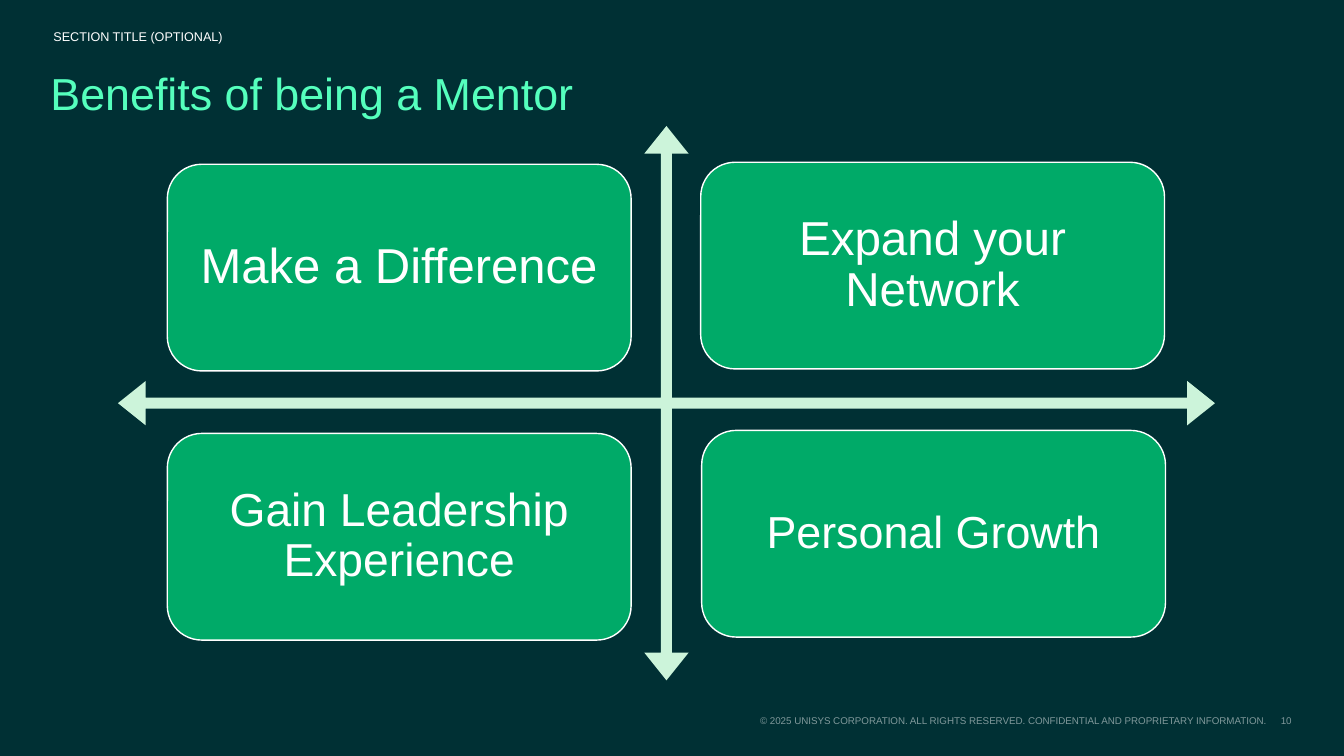
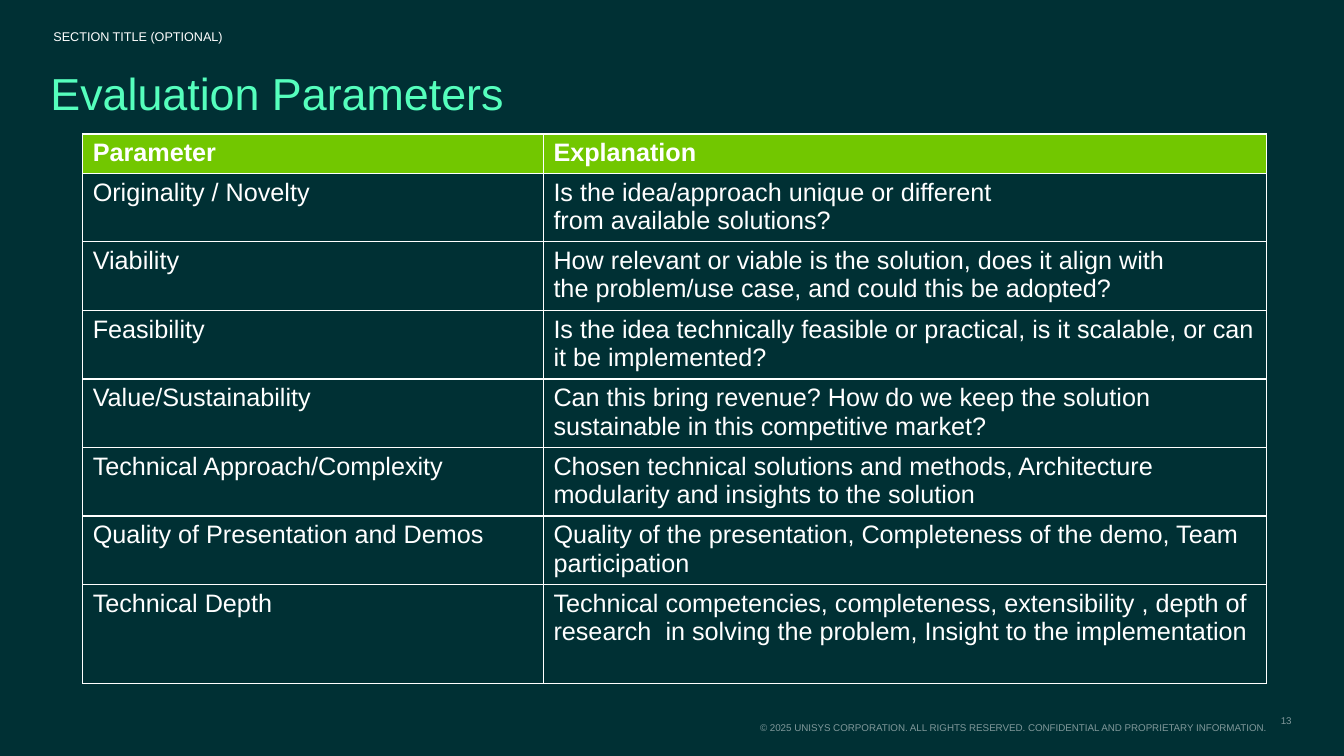
from dataclasses import dataclass

from lxml import etree
from pptx import Presentation
from pptx.dml.color import RGBColor
from pptx.enum.shapes import MSO_SHAPE
from pptx.enum.text import MSO_ANCHOR, PP_ALIGN
from pptx.oxml.ns import qn
from pptx.util import Inches, Pt

LEFT, CENTER, RIGHT = PP_ALIGN.LEFT, PP_ALIGN.CENTER, PP_ALIGN.RIGHT
TOP, MIDDLE, BOTTOM = MSO_ANCHOR.TOP, MSO_ANCHOR.MIDDLE, MSO_ANCHOR.BOTTOM
ROUND, ARROWS = MSO_SHAPE.ROUNDED_RECTANGLE, MSO_SHAPE.QUAD_ARROW

NIGHT, MINT, WHITE, GRAY = "003034", "55FFBD", "FFFFFF", "80989A"
GREEN, PALE, LIME = "00AA68", "CCF4DA", "72C700"
FONT = "Arial"
LEGAL = ("© 2025 UNISYS CORPORATION. ALL RIGHTS RESERVED. "
         "CONFIDENTIAL AND PROPRIETARY INFORMATION.")


@dataclass(frozen=True)
class Style:
    size: float
    color: str = WHITE
    bold: bool = False
    align: PP_ALIGN = LEFT
    anchor: MSO_ANCHOR = TOP
    space: float | None = None


@dataclass(frozen=True)
class Card:
    text: str
    left: float
    top: float
    size: float
    inset: float


LABEL = Style(9)
TITLE = Style(32, MINT, space=0.9)
FOOT = Style(7, GRAY, align=RIGHT, anchor=BOTTOM)
HEAD, BODY = Style(18, bold=True), Style(18)

CARD_W, CARD_H = 4.6, 2.05
CARDS = [
    Card("Make a Difference", 1.66, 1.63, 35, 0.15),
    Card("Expand your Network", 6.95, 1.61, 34, 0.14),
    Card("Gain Leadership Experience", 1.66, 4.3, 33, 0.14),
    Card("Personal Growth", 6.96, 4.27, 32, 0.13),
]

COLS = [4.57, 7.17]
HEIGHTS = [0.39] + [0.68] * 6 + [0.98]
ROWS = [
    ("Parameter", "Explanation"),
    ("Originality / Novelty",
     "Is the idea/approach unique or different\n"
     "from available solutions?"),
    ("Viability",
     "How relevant or viable is the solution, does it align with\n"
     "the problem/use case, and could this be adopted?"),
    ("Feasibility",
     "Is the idea technically feasible or practical, is it scalable, "
     "or can it be implemented?"),
    ("Value/Sustainability",
     "Can this bring revenue? How do we keep the solution sustainable "
     "in this competitive market?"),
    ("Technical Approach/Complexity",
     "Chosen technical solutions and methods, Architecture modularity "
     "and insights to the solution"),
    ("Quality of Presentation and Demos",
     "Quality of the presentation, Completeness of the demo, "
     "Team participation"),
    ("Technical Depth",
     "Technical competencies, completeness, extensibility , depth of "
     "research  in solving the problem, Insight to the implementation"),
]


def paint(fill, color: str) -> None:
    fill.solid()
    fill.fore_color.rgb = RGBColor.from_string(color)


def assign(item, values: dict) -> None:
    for name, value in values.items():
        setattr(item, name, value)


def write(frame, text: str, style: Style) -> None:
    para = frame.paragraphs[0]
    assign(para, {"alignment": style.align, "line_spacing": style.space})
    for i, line in enumerate(text.split("\n")):
        if i:
            para.add_line_break()
        run = para.add_run()
        run.text = line
        assign(run.font, {"name": FONT, "size": Pt(style.size),
                          "bold": style.bold})
        paint(run.font.fill, style.color)


def fit(frame, anchor: MSO_ANCHOR, inset: float = 0) -> None:
    sides = ("left", "top", "right", "bottom")
    assign(frame, {f"margin_{side}": Inches(inset) for side in sides})
    assign(frame, {"word_wrap": True, "vertical_anchor": anchor})


def add_text(slide, text: str, box: tuple, style: Style) -> None:
    frame = slide.shapes.add_textbox(*map(Inches, box)).text_frame
    fit(frame, style.anchor)
    write(frame, text, style)


def add_form(slide, kind: MSO_SHAPE, box: tuple, color: str):
    shape = slide.shapes.add_shape(kind, *map(Inches, box))
    shape.shadow.inherit = False
    paint(shape.fill, color)
    shape.line.fill.background()
    return shape


def add_card(slide, card: Card) -> None:
    box = (card.left, card.top, CARD_W, CARD_H)
    shape = add_form(slide, ROUND, box, GREEN)
    paint(shape.line.fill, WHITE)
    shape.line.width = Pt(1)
    fit(shape.text_frame, MIDDLE, card.inset)
    write(shape.text_frame, card.text,
          Style(card.size, align=CENTER, space=0.9))


def edge(cell) -> None:
    props = cell._tc.get_or_add_tcPr()
    for side in ("lnL", "lnR", "lnT", "lnB"):
        line = etree.SubElement(props, qn("a:" + side), w=str(Pt(1)))
        fill = etree.SubElement(line, qn("a:solidFill"))
        etree.SubElement(fill, qn("a:srgbClr"), val=WHITE)


def add_grid(slide) -> None:
    box = (0.82, 1.33, sum(COLS), sum(HEIGHTS))
    table = slide.shapes.add_table(
        len(ROWS), len(COLS), *map(Inches, box)).table
    assign(table, {"first_row": False, "horz_banding": False})
    for col, width in zip(table.columns, COLS):
        col.width = Inches(width)
    for i, (row, height) in enumerate(zip(table.rows, HEIGHTS)):
        row.height = Inches(height)
        for cell, text in zip(row.cells, ROWS[i]):
            edge(cell)
            cell.margin_bottom = Inches(0.02)
            if i == 0:
                paint(cell.fill, LIME)
            else:
                cell.fill.background()
            write(cell.text_frame, text, BODY if i else HEAD)


def add_page(deck, title: str, number: int):
    slide = deck.slides.add_slide(deck.slide_layouts[6])
    paint(slide.background.fill, NIGHT)
    add_text(slide, str(number), (12.57, 6.98, 0.24, 0.23), FOOT)
    add_text(slide, "SECTION TITLE (OPTIONAL)", (0.53, 0.29, 6.14, 0.22), LABEL)
    add_text(slide, title, (0.5, 0.71, 12.31, 1.02), TITLE)
    return slide


def add_legal(slide, top: float) -> None:
    add_text(slide, LEGAL, (7.06, top, 5.5, 0.23), FOOT)


def main() -> None:
    """Build the mentor and evaluation slides."""
    deck = Presentation()
    assign(deck, {"slide_width": Inches(13.33), "slide_height": Inches(7.5)})

    slide = add_page(deck, "Benefits of being a Mentor", 10)
    cross = add_form(slide, ARROWS, (1.17, 1.25, 10.88, 5.5), PALE)
    for i, ratio in enumerate((0.02, 0.04, 0.05)):
        cross.adjustments[i] = ratio
    for card in CARDS:
        add_card(slide, card)
    add_legal(slide, 6.98)

    slide = add_page(deck, "Evaluation Parameters", 13)
    add_grid(slide)
    add_legal(slide, 7.05)
    deck.save("out.pptx")


if __name__ == "__main__":
    main()
